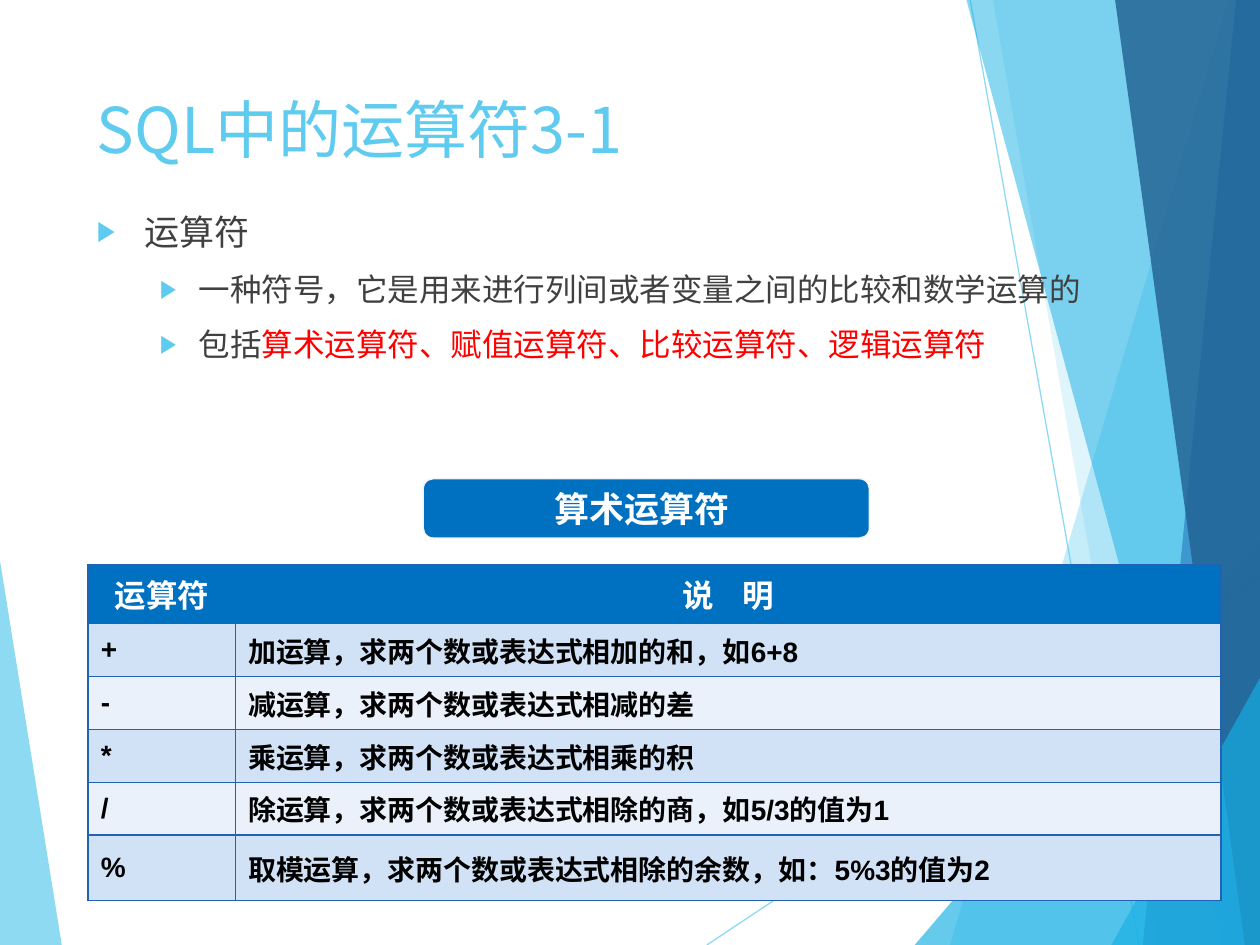
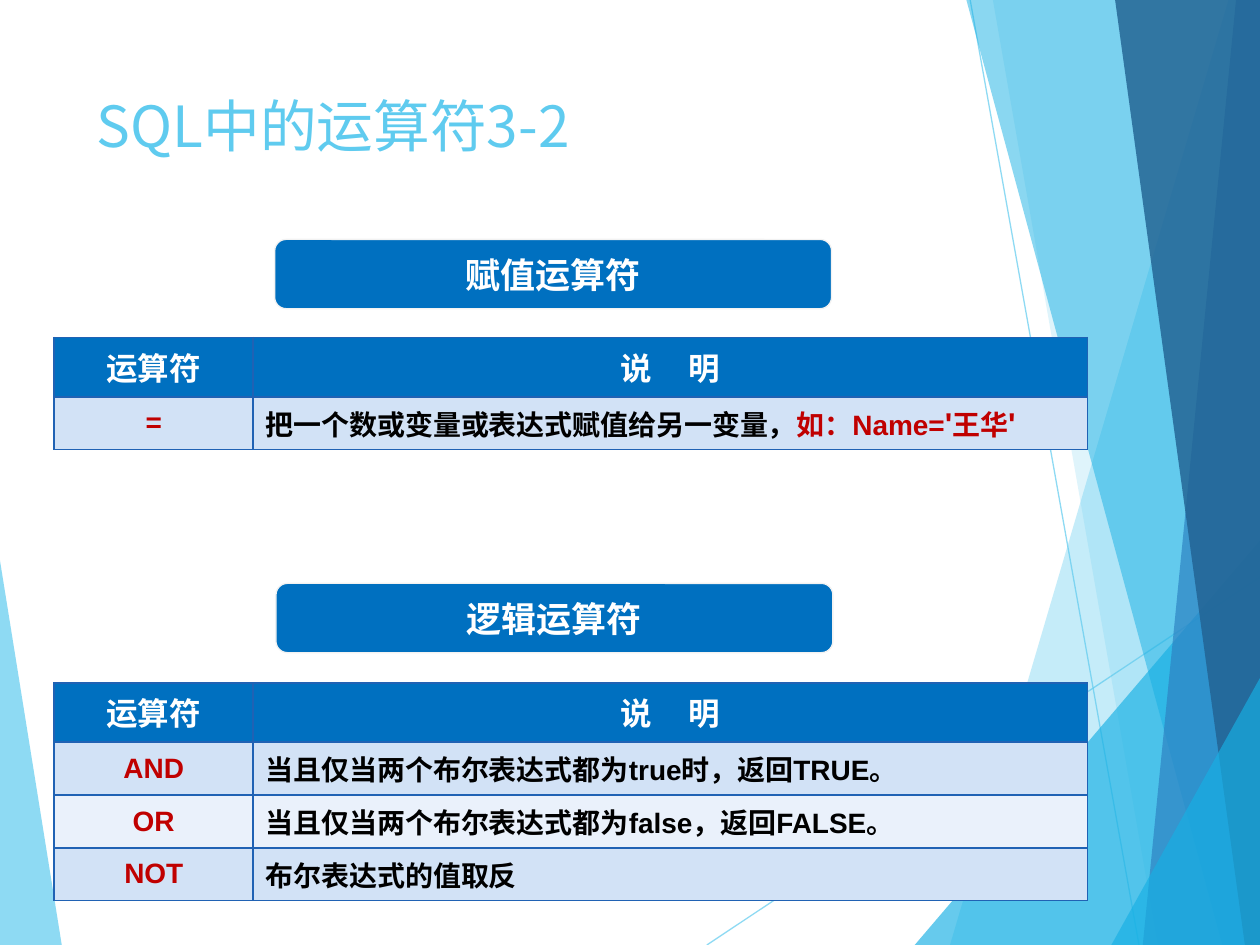
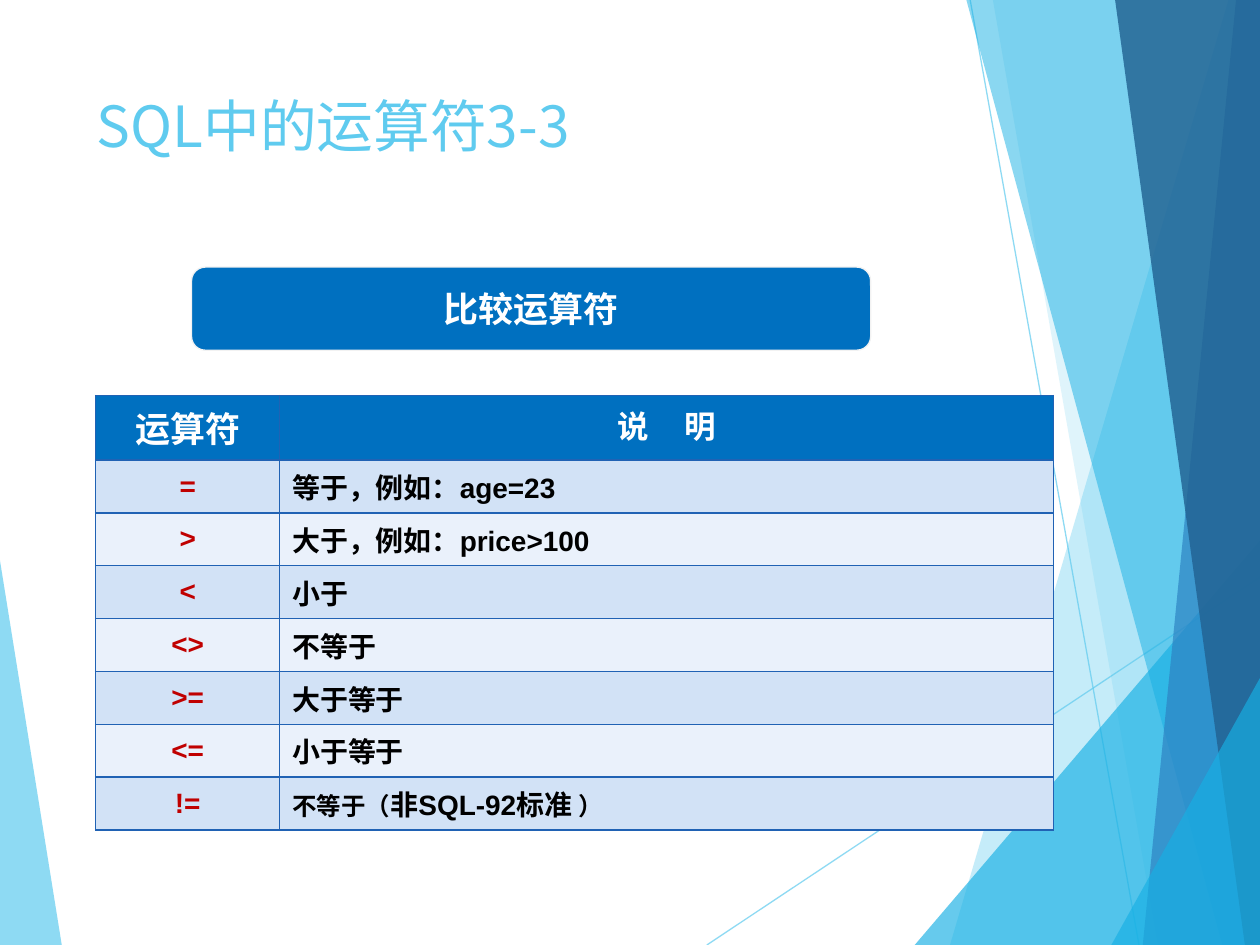
import pptx
import pptx.util
import pptx.dml.color
import pptx.enum.shapes
import pptx.enum.text
import pptx.oxml
import pptx.oxml.ns
import lxml.etree

Inches, Pt = pptx.util.Inches, pptx.util.Pt
ALIGN, ANCHOR = pptx.enum.text.PP_ALIGN, pptx.enum.text.MSO_ANCHOR
SHAPE = pptx.enum.shapes.MSO_SHAPE
qn = pptx.oxml.ns.qn

C = {"sky": "5FCBEF", "cyan": "17B0E4", "blue": "2E83C3", "navy": "226292",
     "head": "0070C0", "edge": "F2F2F2", "border": "2062B4",
     "odd": "D2E2F6", "even": "EAF1FB", "white": "FFFFFF", "black": "000000",
     "grey": "404040", "red": "FF0000", "dark_red": "C00000"}
CJK, LATIN = "Noto Sans CJK SC", "Arial"
HEAD_HEIGHT, ROW_HEIGHT = 0.47, 0.42

# Facets behind the content: corner points, colour, opacity in percent
LINES = [((5.61, 7.5), (10, 4.58)), ((7.7, 0), (9.04, 7.5))]
LEFT_FACET = ([(0, 4.45), (0.49, 7.5), (0, 7.5)], "sky", 70)
RIGHT_FACETS = [
    ([(9.75, 0), (7.54, 7.5), (10, 7.5), (10, 0)], "sky", 36),
    ([(7.88, 0), (9.19, 7.5), (10, 7.5), (10, 0)], "sky", 20),
    ([(7.26, 7.5), (10, 4.29), (10, 7.5)], "cyan", 66),
    ([(7.67, 0), (9.7, 7.5), (10, 7.5), (10, 0)], "cyan", 50),
    ([(9.81, 0), (9.07, 7.5), (10, 7.5), (10, 0)], "blue", 70),
    ([(8.85, 0), (9.88, 7.5), (10, 7.5), (10, 0)], "navy", 82),
    ([(8.82, 7.5), (10, 5.38), (10, 7.5)], "cyan", 66),
]

# Text is a string or a list of (text, changes to the run's style)
BULLETS = [
    (0, "运算符"),
    (1, "一种符号，它是用来进行列间或者变量之间的比较和数学运算的"),
    (1, [("包括", {}), ("算术运算符、赋值运算符、比较运算符、逻辑运算符", {"color": "red"})]),
]
LEVELS = [{"size": 20, "left": 0.38, "hang": 0.38}, {"size": 18, "left": 0.81, "hang": 0.31}]

HEAD = ["运算符", "说     明"]
KEY_STYLE = {"align": ALIGN.CENTER, "color": "dark_red"}
SLIDES = [
    {"title": "SQL中的运算符3-1", "title_size": 36, "bullets": BULLETS, "blocks": [
        {"label": "算术运算符 ", "label_at": (3.36, 3.8, 3.54, 0.47),
         "at": (0.7, 4.48), "cols": (1.17, 7.82), "last_row": 0.52,
         "head": ["运算符", "说    明"], "head_font": CJK,
         "key_style": {"align": ALIGN.LEFT, "color": "black"},
         "rows": [
             ("+", "加运算，求两个数或表达式相加的和，如6+8"),
             ("-", "减运算，求两个数或表达式相减的差"),
             ("*", "乘运算，求两个数或表达式相乘的积"),
             ("/", "除运算，求两个数或表达式相除的商，如5/3的值为1"),
             ("%", "取模运算，求两个数或表达式相除的余数，如：5%3的值为2")]}]},
    {"title": "SQL中的运算符3-2", "title_size": 32.4, "blocks": [
        {"label": "赋值运算符", "label_at": (2.18, 1.9, 4.42, 0.55),
         "at": (0.43, 2.68), "cols": (1.58, 6.62),
         "rows": [("=", [
             ("把一个数或变量或表达式赋值给另一变量，", {}),
             ("如：Name=", {"color": "dark_red"}),
             ("'", {"color": "dark_red", "size": 18}),
             ("王华", {"color": "dark_red"}),
             ("'", {"color": "dark_red", "size": 18})])]},
        {"label": "逻辑运算符", "label_at": (2.19, 4.63, 4.42, 0.55),
         "at": (0.43, 5.42), "cols": (1.58, 6.62),
         "rows": [
             ("AND", "当且仅当两个布尔表达式都为true时，返回TRUE。"),
             ("OR", "当且仅当两个布尔表达式都为false，返回FALSE。"),
             ("NOT", "布尔表达式的值取反")]}]},
    {"title": "SQL中的运算符3-3", "title_size": 32.4, "blocks": [
        {"label": "比较运算符", "label_at": (1.52, 2.12, 5.39, 0.66),
         "at": (0.76, 3.14), "cols": (1.46, 6.14), "head_row": 0.51,
         "head": [[("运算符", {"size": 20})], HEAD[1]],
         "rows": [
             ("=", "等于，例如：age=23"),
             (">", "大于，例如：price>100"),
             ("<", "小于"),
             ("<>", "不等于"),
             (">=", "大于等于"),
             ("<=", "小于等于"),
             ("!=", [("不等于（", {"size": 14}), ("非SQL-92标准 ", {}), ("）", {"size": 14})])]}]},
]


def rgb(name):
    return pptx.dml.color.RGBColor.from_string(C[name])


def paint(fill, name, opacity=100):
    fill.solid()
    fill.fore_color.rgb = rgb(name)
    if opacity < 100:
        color = fill._xPr.find(qn("a:solidFill"))[0]
        lxml.etree.SubElement(color, qn("a:alpha"), val=str(opacity * 1000))


def write(p, text, size, color, font=CJK, bold=False, align=ALIGN.LEFT):
    p.alignment = align
    for part, changes in ([(text, {})] if isinstance(text, str) else text):
        r = p.add_run()
        r.text = part
        r.font.size = Pt(changes.get("size", size))
        r.font.color.rgb = rgb(changes.get("color", color))
        r.font.bold = bold
        r.font.name = font
        r.font._element.find(qn("a:latin")).addnext(
            pptx.oxml.parse_xml('<a:ea %s typeface="%s"/>' % (pptx.oxml.ns.nsdecls("a"), CJK)))


def add_facet(s, points, color, opacity):
    corners = [(Inches(x), Inches(y)) for x, y in points]
    builder = s.shapes.build_freeform(*corners[0])
    builder.add_line_segments(corners[1:], close=True)
    sp = builder.convert_to_shape()
    sp.shadow.inherit = False
    paint(sp.fill, color, opacity)
    sp.line.fill.background()


def add_backdrop(s):
    add_facet(s, *LEFT_FACET)
    for start, end in LINES:
        cx = s.shapes.add_connector(pptx.enum.shapes.MSO_CONNECTOR.STRAIGHT,
                                    *map(Inches, start + end))
        cx.line.width = Pt(0.75)
        paint(cx.line.fill, "sky", 70)
        lxml.etree.SubElement(cx._element.spPr, qn("a:effectLst"))
    for facet in RIGHT_FACETS:
        add_facet(s, *facet)


def add_textbox(s, at):
    tf = s.shapes.add_textbox(*map(Inches, at)).text_frame
    tf.word_wrap = True
    return tf


def add_bullets(s, items):
    tf = add_textbox(s, (0.67, 1.62, 8.43, 4.82))
    for i, (level, text) in enumerate(items):
        p = tf.add_paragraph() if i else tf.paragraphs[0]
        look = LEVELS[level]
        p.level = level
        p.space_before = Pt(10)
        write(p, text, look["size"], "grey")
        pPr = p._p.get_or_add_pPr()
        pPr.set("marL", str(Inches(look["left"])))
        pPr.set("indent", str(-Inches(look["hang"])))
        color = lxml.etree.SubElement(pPr, qn("a:buClr"))
        lxml.etree.SubElement(color, qn("a:srgbClr"), val=C["sky"])
        lxml.etree.SubElement(pPr, qn("a:buSzPct"), val="80000")
        lxml.etree.SubElement(pPr, qn("a:buFont"), typeface=LATIN)
        lxml.etree.SubElement(pPr, qn("a:buChar"), char="▶")


def add_label(s, text, at):
    sp = s.shapes.add_shape(SHAPE.ROUNDED_RECTANGLE, *map(Inches, at))
    sp.shadow.inherit = False
    paint(sp.fill, "head")
    paint(sp.line.fill, "edge")
    sp.line.width = Pt(0.75)
    tf = sp.text_frame
    tf.word_wrap = False
    tf.vertical_anchor = ANCHOR.MIDDLE
    write(tf.paragraphs[0], text, 20, "white", bold=True, align=ALIGN.CENTER)


def dress_cell(cell, fill):
    tcPr = cell._tc.get_or_add_tcPr()
    for side in ("lnL", "lnR", "lnT", "lnB"):
        ln = lxml.etree.SubElement(tcPr, qn("a:" + side), w=str(Pt(1)))
        solid = lxml.etree.SubElement(ln, qn("a:solidFill"))
        lxml.etree.SubElement(solid, qn("a:srgbClr"), val=C["border"])
    paint(cell.fill, fill)


def add_operator_table(s, block):
    rows = [block.get("head", HEAD)] + block["rows"]
    heights = [block.get("head_row", HEAD_HEIGHT)] + [ROW_HEIGHT] * len(block["rows"])
    heights[-1] = block.get("last_row", ROW_HEIGHT)
    cols = block["cols"]
    table = s.shapes.add_table(len(rows), len(cols), *map(
        Inches, block["at"] + (sum(cols), sum(heights)))).table
    table.horz_banding = False
    for column, width in zip(table.columns, cols):
        column.width = Inches(width)
    for i, row in enumerate(rows):
        table.rows[i].height = Inches(heights[i])
        for j, text in enumerate(row):
            cell = table.cell(i, j)
            p = cell.text_frame.paragraphs[0]
            if i == 0:
                dress_cell(cell, "head")
                write(p, text, 18, "white", block.get("head_font", LATIN), True, ALIGN.CENTER)
                continue
            dress_cell(cell, "odd" if i % 2 else "even")
            cell.vertical_anchor = ANCHOR.MIDDLE
            style = {"color": "black"} if j else block.get("key_style", KEY_STYLE)
            write(p, text, 16, font=LATIN, bold=True, **style)


def main():
    prs = pptx.Presentation()
    prs.slide_width, prs.slide_height = Inches(10), Inches(7.5)
    for content in SLIDES:
        s = prs.slides.add_slide(prs.slide_layouts[6])
        add_backdrop(s)
        title = add_textbox(s, (0.67, 0.67, 8.43, 0.71))
        write(title.paragraphs[0], content["title"], content["title_size"], "sky")
        if "bullets" in content:
            add_bullets(s, content["bullets"])
        for block in content["blocks"]:
            add_label(s, block["label"], block["label_at"])
            add_operator_table(s, block)
    prs.save("out.pptx")


if __name__ == "__main__":
    main()
